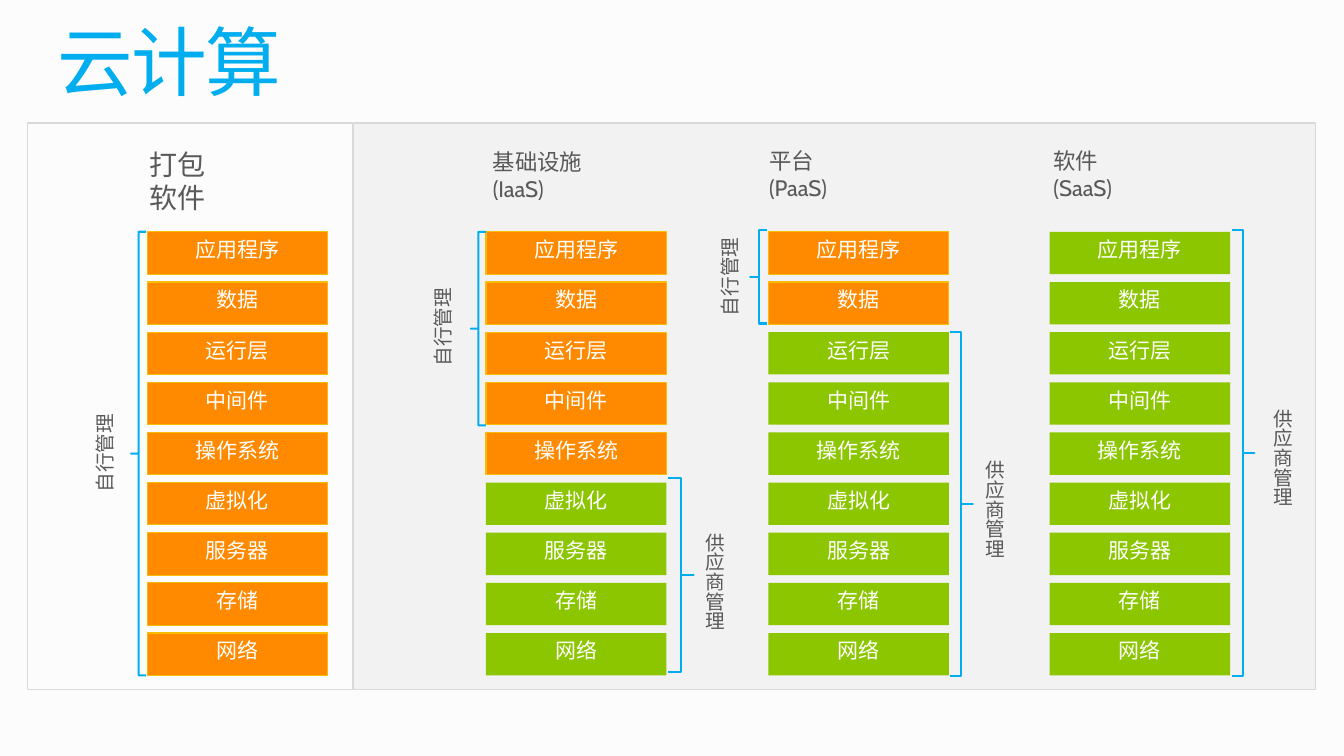
from pptx import Presentation
from pptx import util as u
from pptx.dml.color import RGBColor
from pptx.enum import shapes, text

FONT = "Cabin"
BLUE, GRAY, WHITE = "00AEEF", "595959", "FFFFFF"
ORANGE, GOLD, GREEN = "FF8A00", "F9BC00", "8CC600"
PANEL, BORDER, BACKGROUND = "F2F2F2", "D9D9D9", "FCFCFC"

LAYERS = ["应用程序", "数据", "运行层", "中间件", "操作系统",
          "虚拟化", "服务器", "存储", "网络"]
LAYER_TOP, LAYER_WIDTH, LAYER_HEIGHT = 2.3, 1.79, 0.42
LAYER_PITCH = (6.28 - LAYER_TOP) / (len(LAYERS) - 1)

SELF, VENDOR = "自行管理", "供应商管理"

# own: number of layers the customer manages, counted from the top
# braces: (manager, brace box, label left, label top)
MODELS = [
    dict(left=1.46, own=9, heading=["打包", "软件"], heading_box=(1.48, 1.46, 2.04, 0.7),
         heading_size=20, heading_inset=0,
         braces=[(SELF, (1.3, 2.3, 0.15, 4.4), 0.87, 4.05)]),
    dict(left=4.82, own=5, heading=["基础设施", "(IaaS)"], heading_box=(4.79, 1.47, 2.31, 0.7),
         braces=[(VENDOR, (6.63, 4.74, 0.25, 1.93), 6.81, 5.19),
                 (SELF, (4.67, 2.3, 0.15, 1.92), 4.22, 2.8)]),
    dict(left=7.62, own=2, heading=["平台", "(PaaS)"], heading_box=(7.53, 1.46, 2.19, 0.7),
         braces=[(VENDOR, (9.42, 3.29, 0.23, 3.42), 9.59, 4.47),
                 (SELF, (7.44, 2.28, 0.17, 0.93), 7.07, 2.3)]),
    dict(left=10.41, own=0, heading=["软件", "(SaaS)"], heading_box=(10.35, 1.46, 2.22, 0.7),
         braces=[(VENDOR, (12.22, 2.28, 0.22, 4.43), 12.45, 3.96)]),
]


def color(hex_value):
    return RGBColor.from_string(hex_value)


def inches(box):
    return [u.Inches(value) for value in box]


def write(target, lines, size, ink, align=text.PP_ALIGN.LEFT, inset=(0.1, 0.05),
          wrap=True, direction=None, line_spacing=None, tracking=None):
    frame = target.text_frame
    frame.word_wrap = wrap
    frame.vertical_anchor = text.MSO_ANCHOR.TOP
    frame.margin_left = frame.margin_right = u.Inches(inset[0])
    frame.margin_top = frame.margin_bottom = u.Inches(inset[1])
    if direction:
        frame._txBody.bodyPr.set("vert", direction)
    for index, line in enumerate(lines):
        paragraph = frame.add_paragraph() if index else frame.paragraphs[0]
        paragraph.alignment = align
        if line_spacing:
            paragraph.line_spacing = line_spacing
        run = paragraph.add_run()
        run.text = line
        run.font.name = FONT
        run.font.size = u.Pt(size)
        run.font.color.rgb = color(ink)
        if tracking:
            run.font._element.set("spc", str(tracking * 100))


def add_text(parent, box, lines, **style):
    write(parent.shapes.add_textbox(*inches(box)), lines, **style)


def add_preset(parent, preset, box, fill=None, line=None, line_width=0.75):
    shape = parent.shapes.add_shape(preset, *inches(box))
    shape.shadow.inherit = False
    if fill:
        shape.fill.solid()
        shape.fill.fore_color.rgb = color(fill)
    else:
        shape.fill.background()
    if line:
        shape.line.color.rgb = color(line)
        shape.line.width = u.Pt(line_width)
    else:
        shape.line.fill.background()
    return shape


def add_brace(parent, manager, box, label_left, label_top):
    brace = add_preset(parent, shapes.MSO_SHAPE.LEFT_BRACE, box, line=BLUE, line_width=1.5)
    brace.adjustments[0], brace.adjustments[1] = 0, 0.5
    if manager == VENDOR:
        brace.element.spPr.xfrm.set("flipH", "1")
    direction, height = ("eaVert", 1.08) if manager == VENDOR else ("vert270", 0.89)
    add_text(parent, (label_left, label_top, 0.44, height), [manager], size=14, ink=GRAY,
             align=text.PP_ALIGN.CENTER, wrap=False, direction=direction)


def add_model(slide, left, own, heading, heading_box, braces,
              heading_size=16, heading_inset=0.1):
    group = slide.shapes.add_group_shape()
    add_text(group, heading_box, heading, size=heading_size, ink=GRAY,
             inset=(heading_inset, 0))
    for row, layer in enumerate(LAYERS):
        fill, line = (ORANGE, GOLD) if row < own else (GREEN, None)
        box = (left, LAYER_TOP + row * LAYER_PITCH, LAYER_WIDTH, LAYER_HEIGHT)
        block = add_preset(group, shapes.MSO_SHAPE.RECTANGLE, box, fill, line)
        write(block, [layer], size=15, ink=WHITE, align=text.PP_ALIGN.CENTER)
    for brace in braces:
        add_brace(group, *brace)


def main():
    deck = Presentation()
    deck.slide_width, deck.slide_height = inches((13.33, 7.5))
    slide = deck.slides.add_slide(deck.slide_layouts[6])
    slide.background.fill.solid()
    slide.background.fill.fore_color.rgb = color(BACKGROUND)

    # Cloud panel and title
    add_preset(slide, shapes.MSO_SHAPE.RECTANGLE, (3.51, 1.22, 9.54, 5.62), PANEL, BORDER)
    add_text(slide, (0.57, 0.25, 12.19, 0.82), ["云计算"], size=54, ink=BLUE,
             inset=(0, 0), line_spacing=0.9, tracking=-1)

    # Service models
    for model in MODELS:
        add_model(slide, **model)

    # Frame around packaged software
    add_preset(slide, shapes.MSO_SHAPE.RECTANGLE, (0.27, 1.22, 3.23, 5.62), line=BORDER)

    deck.save("out.pptx")


if __name__ == "__main__":
    main()
